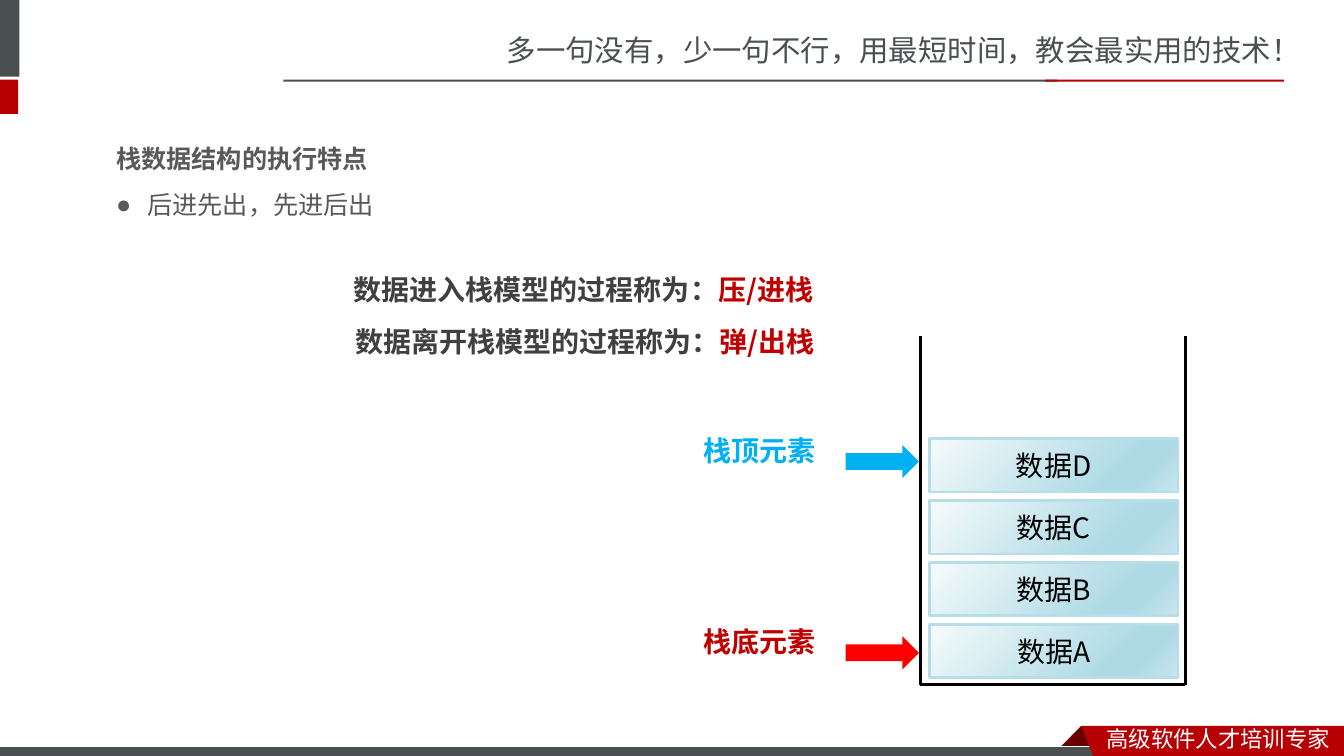
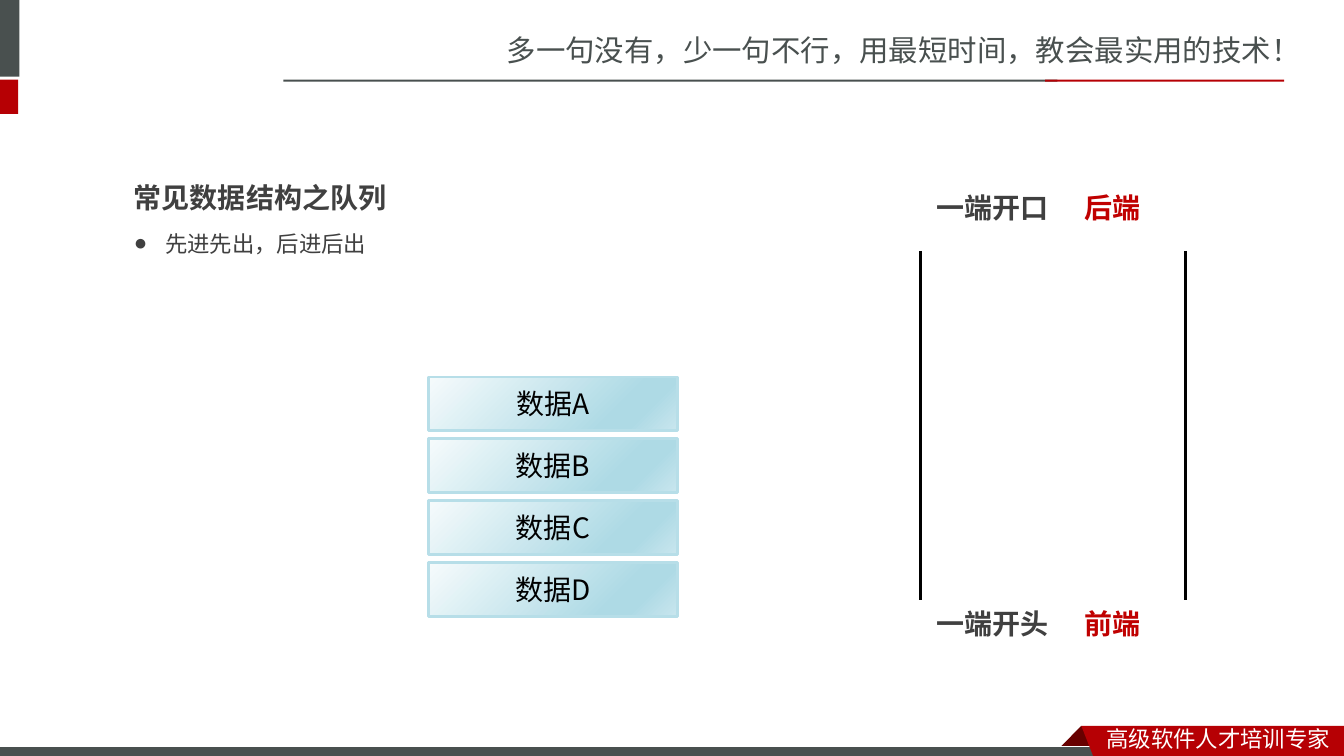
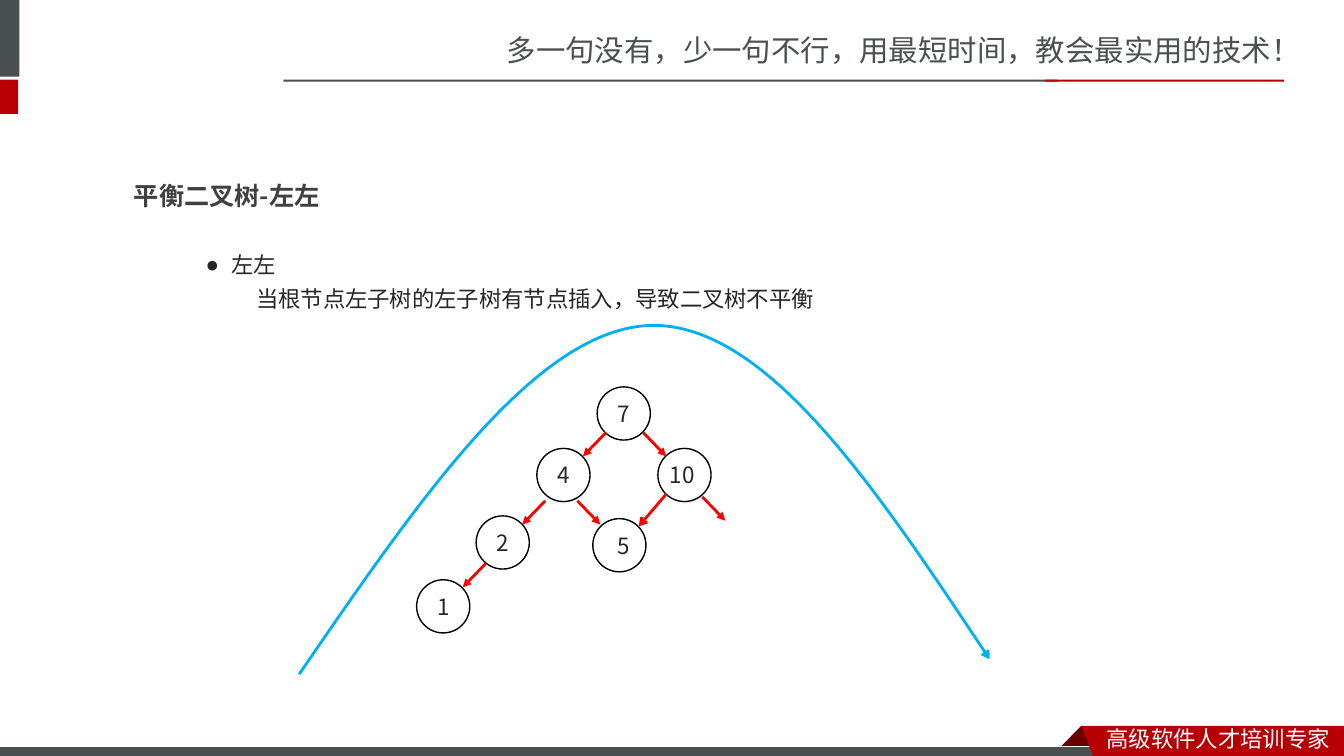
from lxml.etree import SubElement
from pptx import Presentation
from pptx.dml.color import RGBColor
from pptx.enum.shapes import MSO_CONNECTOR, MSO_SHAPE
from pptx.enum.text import MSO_ANCHOR, MSO_AUTO_SIZE, PP_ALIGN
from pptx.oxml.ns import qn
from pptx.util import Cm, Pt

RECT = MSO_SHAPE.RECTANGLE
OVAL = MSO_SHAPE.OVAL
ARROW = MSO_SHAPE.RIGHT_ARROW
STRAIGHT = MSO_CONNECTOR.STRAIGHT
TOP, MIDDLE = MSO_ANCHOR.TOP, MSO_ANCHOR.MIDDLE
LEFT, CENTER = PP_ALIGN.LEFT, PP_ALIGN.CENTER
FIXED = MSO_AUTO_SIZE.NONE

JP, SC = "Noto Sans CJK JP", "Noto Sans CJK SC"
SPACING = 1.27
INK = {
    "slate": "49504F", "brand": "B60004", "fold": "680000",
    "white": "FFFFFF", "black": "000000", "gray": "595959",
    "dark": "404040", "text": "262626", "deep": "C00000",
    "red": "FF0000", "blue": "00B0F0", "edge": "B7DEE8",
}
SHADES = [(0, "F6FBFC"), (74, "AEDAE5"), (83, "AEDAE5"), (100, "C9E6EE")]


def rgb(name):
    return RGBColor.from_string(INK[name])


def place(shape, x, y, w, h):
    shape.left, shape.top = Cm(x), Cm(y)
    shape.width, shape.height = Cm(w), Cm(h)


def style(para, size, color, face, bold=False):
    font = para.font
    font.size, font.bold, font.name = Pt(size), bold, face
    font.color.rgb = rgb(color)
    SubElement(font._rPr, qn("a:ea"), typeface=face)


def paint(shape, fill=None, line=None, width=1):
    shape.shadow.inherit = False
    if fill:
        shape.fill.solid()
        shape.fill.fore_color.rgb = rgb(fill)
    else:
        shape.fill.background()
    if line:
        shape.line.color.rgb = rgb(line)
        shape.line.width = Pt(width)
    else:
        shape.line.fill.background()


def block(slide, kind, x, y, w, h, fill=None, line=None, width=1):
    shape = slide.shapes.add_shape(kind, Cm(x), Cm(y), Cm(w), Cm(h))
    paint(shape, fill, line, width)
    return shape


def trace(slide, points, closed=True):
    spots = [(Cm(x), Cm(y)) for x, y in points]
    pen = slide.shapes.build_freeform(*spots[0])
    pen.add_line_segments(spots[1:], close=closed)
    return pen.convert_to_shape()


def tip(shape, kind):
    SubElement(shape.line._get_or_add_ln(), qn("a:tailEnd"), type=kind)


def stroke(slide, x, y, dx, dy, color):
    line = slide.shapes.add_connector(
        STRAIGHT, Cm(x), Cm(y), Cm(x + dx), Cm(y + dy))
    line.line.color.rgb = rgb(color)
    line.line.width = Pt(2)
    SubElement(line._element.spPr, qn("a:effectLst"))
    return line


def inside(shape, words, size, face, color):
    frame = shape.text_frame
    frame.vertical_anchor = MIDDLE
    para = frame.paragraphs[0]
    para.text, para.alignment = words, CENTER
    style(para, size, color, face)
    return frame


def plain(slide, words, x, y, w, h, size, color):
    frame = slide.shapes.add_textbox(Cm(x), Cm(y), Cm(w), Cm(h)).text_frame
    frame.word_wrap = True
    frame.vertical_anchor = MIDDLE
    para = frame.paragraphs[0]
    para.text = words
    style(para, size, color, SC)


def label(slide, x, y, w, *parts):
    frame = slide.shapes.add_textbox(Cm(x), Cm(y), Cm(w), Cm(1.42)).text_frame
    frame.word_wrap = True
    para = frame.paragraphs[0]
    para.line_spacing = SPACING
    style(para, 20, parts[0][1], JP, True)
    for words, color in parts:
        run = para.add_run()
        run.text = words
        run.font.color.rgb = rgb(color)


def ready(shape, x, y, w, h):
    place(shape, x, y, w, h)
    frame = shape.text_frame
    frame.auto_size, frame.vertical_anchor = FIXED, TOP
    frame.word_wrap = True
    return frame


def heading(slide, words, x, y, size, color, face):
    para = ready(slide.shapes.title, x, y, 12, 1.3).paragraphs[0]
    para.text, para.alignment = words, LEFT
    para.line_spacing = SPACING
    style(para, size, color, face, True)


def points(slide, items, x, y, w, h, size, color, face, hang):
    frame = ready(slide.placeholders[1], x, y, w, h)
    for i, words in enumerate(items):
        para = frame.add_paragraph() if i else frame.paragraphs[0]
        para.text = words
        para.line_spacing, para.space_before = SPACING, Pt(0)
        props = para._p.get_or_add_pPr()
        props.set("marL", str(Cm(1.27 if i else hang)))
        props.set("indent", str(0 if i else -Cm(hang)))
        if i:
            SubElement(props, qn("a:buNone"))
        else:
            SubElement(props, qn("a:buChar"), char="●")
        style(para, size, color, face)


def frame_layout(slide):
    layout = slide.slide_layout
    for holder in list(layout.placeholders)[2:]:
        holder._element.getparent().remove(holder._element)
    plain(slide, "多一句没有，少一句不行，用最短时间，教会最实用的技术！",
          12.52, 0.66, 21.36, 1.19, 21, "slate")
    for x, y, w, h, color in [
        (-0.15, 0, 0.64, 1.93, "slate"),
        (-0.15, 2.01, 0.61, 0.86, "brand"),
        (7.14, 2.01, 19.51, 0.05, "slate"),
        (26.34, 2.01, 6.02, 0.05, "brand"),
    ]:
        block(slide, RECT, x, y, w, h, color)
    fold = trace(slide, [(27.25, 18.29), (27.81, 18.85), (27.79, 18.87),
                         (26.72, 18.87), (26.7, 18.85)])
    paint(fold, "fold")
    block(slide, RECT, -0.02, 18.82, 27.94, 0.3, "slate", "white", 0.75)
    ribbon = trace(slide, [(27.25, 18.29), (33.87, 18.29),
                           (33.87, 19.15), (27.58, 19.13)])
    paint(ribbon, "brand")
    plain(slide, "高级软件人才培训专家", 27.64, 18.14, 6.22, 0.94, 16, "white")
    for shape in list(slide.shapes):
        if not shape.is_placeholder:
            layout.shapes._spTree.append(shape._element)


def pile(slide, x, y, letters):
    for i, letter in enumerate(letters):
        box = block(slide, RECT, x, y + i * 1.56, 6.27, 1.35,
                    "white", "edge", 2)
        box.fill.gradient()
        box.fill.gradient_angle = 315
        stops = box._element.spPr.find(".//" + qn("a:gsLst"))
        for old in list(stops):
            stops.remove(old)
        for pos, shade in SHADES:
            stop = SubElement(stops, qn("a:gs"), pos=str(pos * 1000))
            SubElement(stop, qn("a:srgbClr"), val=shade)
        inside(box, "数据" + letter, 20, JP, "black")


def well(slide, x, y, base):
    w, h = 6.68, 8.79
    for side in (x, x + w):
        stroke(slide, side, y, 0, h, "black")
    if base:
        stroke(slide, x, y + h, w, 0, "black")


def mark(slide, x, y, words, ink, fill):
    label(slide, x, y, 4.19, (words, ink))
    block(slide, ARROW, x + 3.83, y + 0.64, 1.85, 0.84, fill)


def tree(slide, x, y):
    for words, dx, dy, nudge in [
        ("7", 4.55, 0, 0), ("4", 3.03, 1.55, 0), ("10", 6.08, 1.55, -0.12),
        ("2", 1.5, 3.25, 0), ("1", 0, 4.86, 0), ("5", 4.44, 3.32, 0.23),
    ]:
        node = block(slide, OVAL, x + dx, y + dy, 1.34, 1.34, None, "black")
        text = inside(node, words, 16, SC, "text")
        text.margin_left = Cm(max(nudge, 0))
        text.margin_right = Cm(max(-nudge, 0))
        text.margin_top = text.margin_bottom = 0
    for dx, dy, way in [
        (4.77, 1.15, -1), (5.71, 1.15, 1), (3.24, 2.87, -1),
        (1.74, 4.45, -1), (7.2, 2.77, 1), (4.05, 2.87, 1),
    ]:
        tip(stroke(slide, x + dx, y + dy, way * 0.58, 0.6, "red"), "triangle")
    tip(stroke(slide, x + 6.29, y + 2.7, -0.69, 0.81, "red"), "arrow")


def arc(slide, x, y):
    spots = [(0, 8.84), (2.98, 4.5), (5.95, 0.13), (8.87, 0.05),
             (11.76, 0), (14.58, 4.22), (17.4, 8.46)]
    curve = trace(slide, [(x + dx, y + dy) for dx, dy in spots], False)
    paint(curve, None, "blue", 2)
    tip(curve, "arrow")
    route = curve._element.spPr.find(".//" + qn("a:path"))
    legs = list(route)[1:]
    for i in range(0, len(legs), 3):
        bend = SubElement(route, qn("a:cubicBezTo"))
        for leg in legs[i:i + 3]:
            bend.append(leg[0])
            route.remove(leg)


def stack_slide(slide):
    heading(slide, "栈数据结构的执行特点", 2.67, 3.28, 18, "gray", JP)
    points(slide, ["后进先出，先进后出"], 2.67, 4.45, 9.83, 1.3,
           18, "gray", JP, 0.79)
    label(slide, 8.66, 6.52, 15.2,
          ("数据进入栈模型的过程称为：", "dark"), ("压/进栈", "deep"))
    label(slide, 8.7, 7.82, 15.2,
          ("数据离开栈模型的过程称为：", "dark"), ("弹/出栈", "deep"))
    well(slide, 23.19, 8.46, True)
    pile(slide, 23.42, 11.05, "DCBA")
    mark(slide, 17.48, 10.57, "栈顶元素", "blue", "blue")
    mark(slide, 17.48, 15.39, "栈底元素", "deep", "red")


def queue_slide(slide):
    heading(slide, "常见数据结构之队列", 3.12, 4.2, 20, "dark", JP)
    points(slide, ["先进先出，后进后出"], 3.12, 5.48, 13, 1.2,
           16, "dark", JP, 0.79)
    well(slide, 23.19, 6.32, False)
    pile(slide, 10.8, 9.5, "ABCD")
    for y, side, end in [(4.45, "一端开口", "后端"),
                         (14.94, "一端开头", "前端")]:
        label(slide, 23.34, y, 5, (side, "dark"))
        label(slide, 27.08, y, 2.79, (end, "deep"))


def tree_slide(slide):
    heading(slide, "平衡二叉树-左左", 3.12, 4.21, 18, "dark", SC)
    points(slide, ["左左", "当根节点左子树的左子树有节点插入，导致二叉树不平衡"],
           4.93, 6.02, 27.28, 2.2, 16, "text", SC, 0.64)
    tree(slide, 10.5, 9.75)
    arc(slide, 7.54, 8.15)


def main():
    deck = Presentation()
    deck.slide_width, deck.slide_height = Cm(33.87), Cm(19.05)
    layout = deck.slide_layouts[1]
    for i, build in enumerate([stack_slide, queue_slide, tree_slide]):
        slide = deck.slides.add_slide(layout)
        if i == 0:
            frame_layout(slide)
        build(slide)
    deck.save("out.pptx")


if __name__ == "__main__":
    main()
